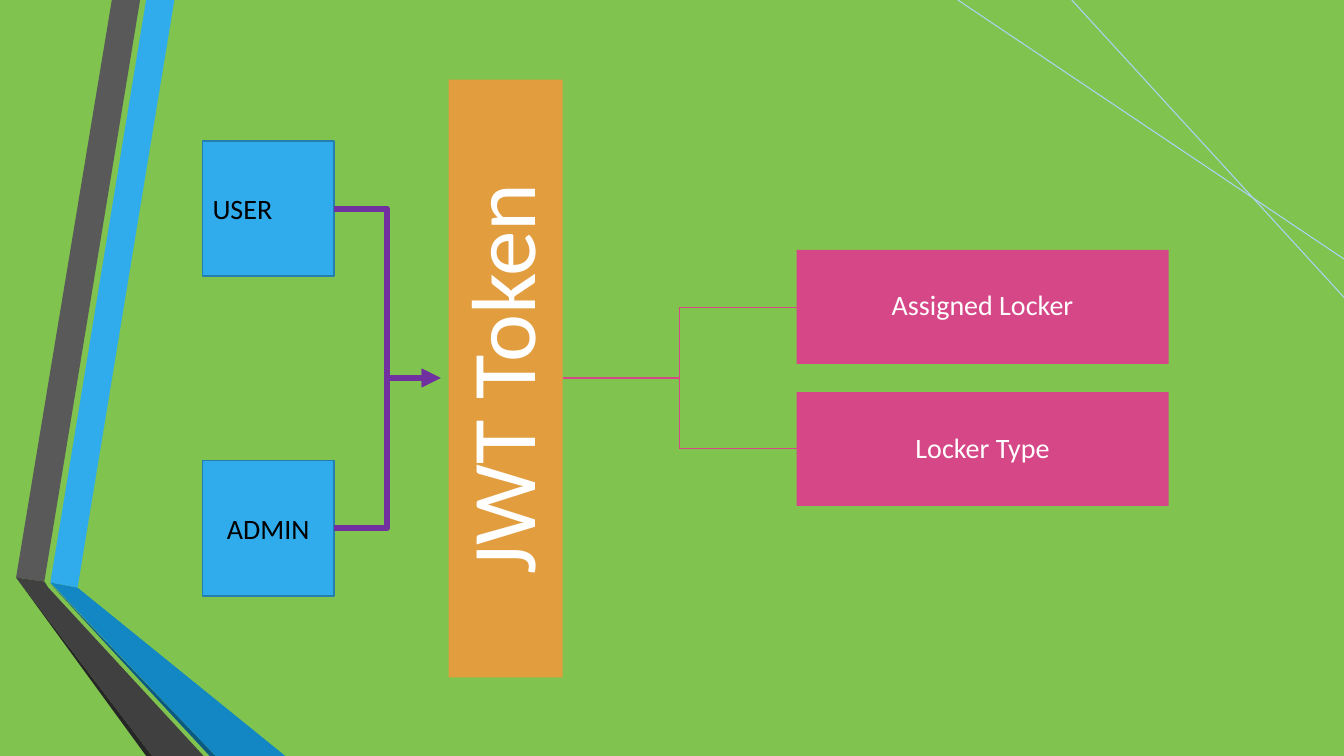
from pptx import Presentation
from pptx.dml.color import RGBColor
from pptx.enum.shapes import MSO_CONNECTOR, MSO_SHAPE
from pptx.enum.text import MSO_ANCHOR, PP_ALIGN
from pptx.oxml.ns import qn
from pptx.util import Inches, Pt
from lxml.etree import SubElement

GREEN = RGBColor(0x80, 0xC3, 0x4F)
BLUE = RGBColor(0x30, 0xAC, 0xEC)
BLUE_EDGE = RGBColor(0x24, 0x7F, 0xAF)
BLUE_DEEP = RGBColor(0x12, 0x87, 0xC3)
BLUE_SHADE = RGBColor(0x0C, 0x5A, 0x82)
GREY = RGBColor(0x59, 0x59, 0x59)
GREY_DEEP = RGBColor(0x40, 0x40, 0x40)
GREY_SHADE = RGBColor(0x26, 0x26, 0x26)
PALE_BLUE = RGBColor(0xAE, 0xD2, 0xF4)
ORANGE = RGBColor(0xE2, 0x9D, 0x3E)
PINK = RGBColor(0xD6, 0x47, 0x87)
PURPLE = RGBColor(0x70, 0x30, 0xA0)
WHITE = RGBColor(0xFF, 0xFF, 0xFF)
BLACK = RGBColor(0, 0, 0)

prs = Presentation()
prs.slide_width, prs.slide_height = Inches(13.33), Inches(7.5)
slide = prs.slides.add_slide(prs.slide_layouts[6])
slide.background.fill.solid()
slide.background.fill.fore_color.rgb = GREEN
shapes = slide.shapes


def add_box(label, left, top, width, height, fill, size, color, inset, align=PP_ALIGN.CENTER):
    box = shapes.add_shape(MSO_SHAPE.RECTANGLE, Inches(left), Inches(top), Inches(width), Inches(height))
    box.shadow.inherit = False
    box.fill.solid()
    box.fill.fore_color.rgb = fill
    box.line.fill.background()
    frame = box.text_frame
    frame.word_wrap = True
    frame.vertical_anchor = MSO_ANCHOR.MIDDLE
    frame.margin_left = frame.margin_right = Inches(inset)
    frame.margin_top = frame.margin_bottom = Inches(min(inset, 0.05))
    paragraph = frame.paragraphs[0]
    paragraph.text = label
    paragraph.alignment = align
    paragraph.font.name = "Calibri"
    paragraph.font.size = Pt(size)
    paragraph.font.color.rgb = color
    return box


def add_link(kind, start, end, color, width):
    link = shapes.add_connector(kind, *map(Inches, start + end))
    link.line.color.rgb = color
    link.line.width = Pt(width)
    SubElement(link._element.spPr, qn("a:effectLst"))
    return link


ribbons = [
    (BLUE, [(0.5, 5.78), (0.77, 5.83), (1.73, 0), (1.45, 0)]),
    (GREY, [(1.39, 0), (1.11, 0), (0.16, 5.73), (0.44, 5.77)]),
    (GREY_SHADE, [(0.16, 5.73), (1.45, 7.5), (1.51, 7.5)]),
    (BLUE_SHADE, [(0.5, 5.79), (2.08, 7.5), (2.14, 7.5)]),
    (BLUE_DEEP, [(0.5, 5.78), (2.14, 7.5), (2.83, 7.5), (0.77, 5.83)]),
    (GREY_DEEP, [(2.02, 7.5), (0.48, 5.83), (0.44, 5.77), (0.16, 5.73), (1.51, 7.5)]),
]
for color, points in ribbons:
    corners = [(Inches(x), Inches(y)) for x, y in points]
    outline = shapes.build_freeform(*corners[0])
    outline.add_line_segments(corners[1:])
    ribbon = outline.convert_to_shape()
    ribbon.shadow.inherit = False
    ribbon.fill.solid()
    ribbon.fill.fore_color.rgb = color
    ribbon.line.fill.background()

for start, end in [((9.5, 0), (13.33, 2.57)), ((10.63, 0), (13.33, 2.95))]:
    add_link(MSO_CONNECTOR.STRAIGHT, start, end, PALE_BLUE, 0.75)

middle = 3.75
for claim_y in (4.45, 3.05):
    outline = shapes.build_freeform(Inches(5.58), Inches(middle))
    bends = [(6.74, middle), (6.74, claim_y), (7.9, claim_y)]
    outline.add_line_segments([(Inches(x), Inches(y)) for x, y in bends], close=False)
    branch = outline.convert_to_shape()
    branch.shadow.inherit = False
    branch.fill.background()
    branch.line.color.rgb = PINK
    branch.line.width = Pt(1.25)

token = add_box("JWT Token", 2.05, 3.19, 5.93, 1.13, ORANGE, 65, WHITE, 0.05)
token.rotation = 270
token.text_frame.paragraphs[0].line_spacing = 0.9

for claim, top in [("Assigned Locker", 2.48), ("Locker Type", 3.89)]:
    claim_box = add_box(claim, 7.9, top, 3.69, 1.13, PINK, 20, WHITE, 0.01)
    claim_box.text_frame.paragraphs[0].line_spacing = 0.9

roles = [("USER", 1.4, PP_ALIGN.LEFT), ("ADMIN", 4.57, PP_ALIGN.CENTER)]
for role, top, align in roles:
    role_box = add_box(role, 2.01, top, 1.3, 1.34, BLUE, 20, BLACK, 0.1, align)
    role_box.line.color.rgb = BLUE_EDGE
    role_box.line.width = Pt(1.25)

for role_y in (2.07, 5.24):
    arrow = add_link(MSO_CONNECTOR.ELBOW, (3.31, role_y), (4.37, middle), PURPLE, 4.5)
    SubElement(arrow.line._get_or_add_ln(), qn("a:tailEnd"), type="triangle")

prs.save("out.pptx")
